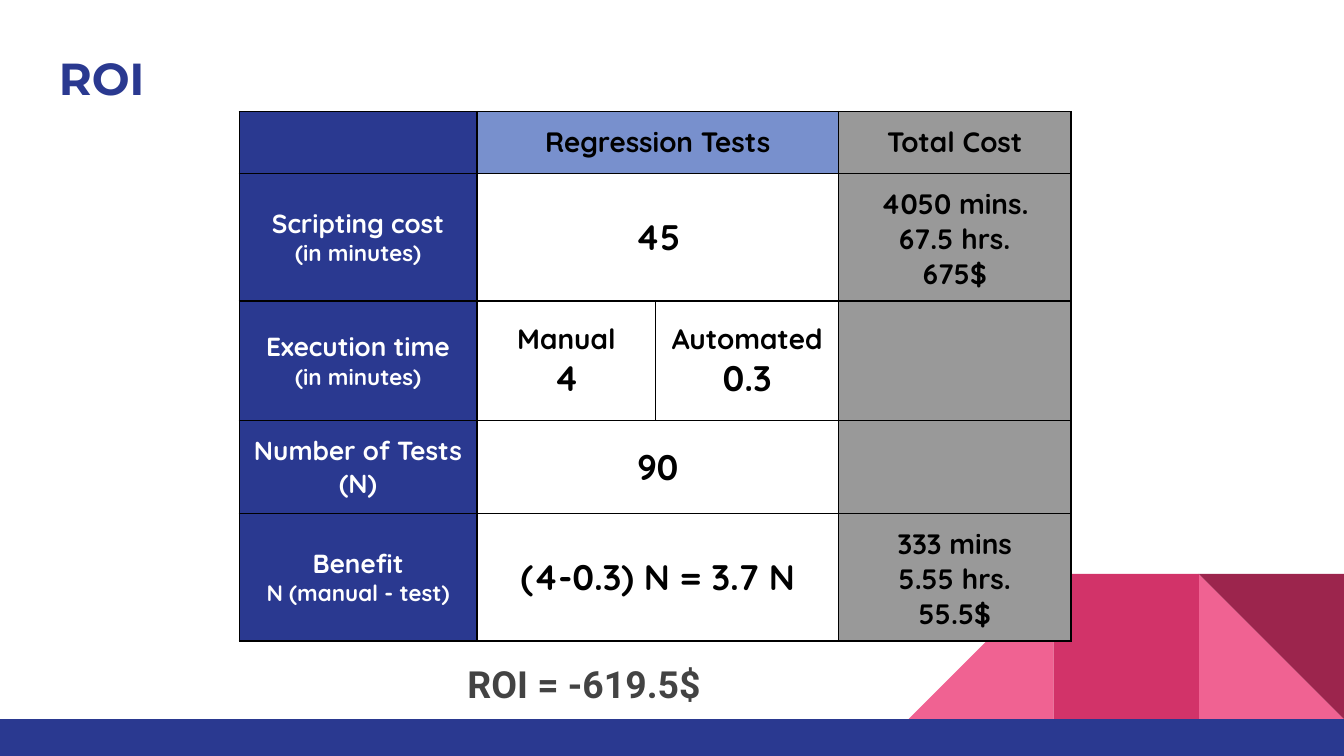
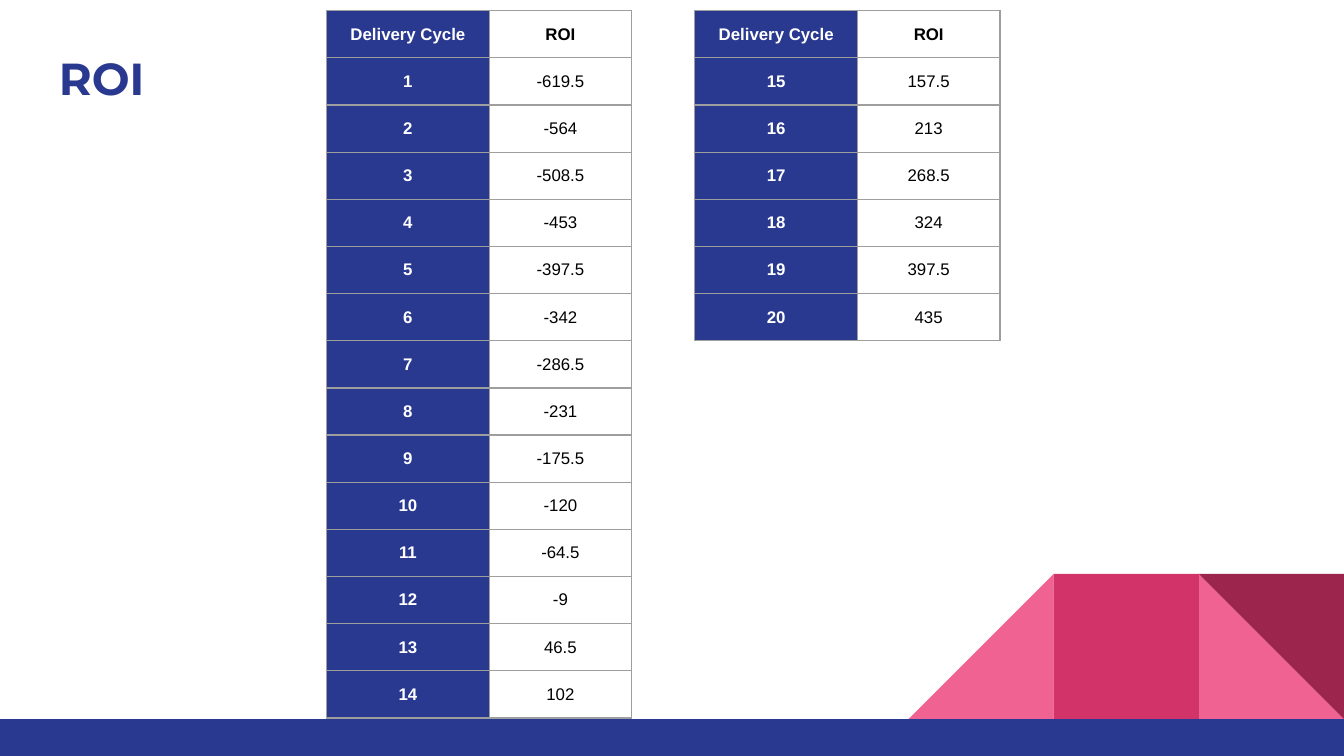
from typing import NamedTuple

from lxml import etree
from pptx import Presentation
from pptx.dml.color import RGBColor
from pptx.enum.shapes import MSO_SHAPE
from pptx.enum.text import MSO_ANCHOR, PP_ALIGN
from pptx.oxml.ns import qn
from pptx.util import Inches, Pt

RECTANGLE = MSO_SHAPE.RECTANGLE
RIGHT_TRIANGLE = MSO_SHAPE.RIGHT_TRIANGLE
CENTER = PP_ALIGN.CENTER
LEFT = PP_ALIGN.LEFT
MIDDLE = MSO_ANCHOR.MIDDLE

NAVY = "2A3990"
SKY = "7890CD"
GRAY = "999999"
RULE_GRAY = "9E9E9E"
TEXT_GRAY = "434343"
PINK = "F06292"
ROSE = "D23369"
WINE = "9C254D"
WHITE = "FFFFFF"
BLACK = "000000"

SLIDE_WIDTH = Inches(10)
SLIDE_HEIGHT = SLIDE_WIDTH * 9 // 16
INSET = Inches(0.1)
FRAME_SIDE = Inches(3.28)
BAND_TOP = 5.35
TILE = 1.08


class Line(NamedTuple):
    text: str
    size: float
    font: str
    color: str
    bold: bool = True


class CellContent(NamedTuple):
    lines: tuple[Line, ...] = ()
    fill: str | None = None
    span: int = 1


class Box(NamedTuple):
    left: float
    top: float
    width: float
    height: float


class Decoration(NamedTuple):
    kind: MSO_SHAPE
    box: Box
    color: str
    rotation: int = 0


def tile(kind: MSO_SHAPE, from_right: int, color: str, rotation: int = 0) -> Decoration:
    box = Box(10 - from_right * TILE, BAND_TOP - TILE, TILE, TILE)
    return Decoration(kind, box, color, rotation)


DECORATIONS = (
    tile(RIGHT_TRIANGLE, 1, PINK),
    tile(RIGHT_TRIANGLE, 3, PINK, 270),
    tile(RECTANGLE, 2, ROSE),
    tile(RIGHT_TRIANGLE, 1, WINE, 180),
    Decoration(RECTANGLE, Box(0, BAND_TOP, 10, 0.28), NAVY),
)


def rgb(color: str) -> RGBColor:
    return RGBColor.from_string(color)


def write_lines(text_frame, lines: tuple[Line, ...], alignment: PP_ALIGN) -> None:
    for index, line in enumerate(lines):
        paragraph = text_frame.add_paragraph() if index else text_frame.paragraphs[0]
        paragraph.alignment = alignment
        run = paragraph.add_run()
        run.text = line.text
        run.font.size = Pt(line.size)
        run.font.name = line.font
        run.font.bold = line.bold
        run.font.color.rgb = rgb(line.color)


def set_insets(target) -> None:
    target.margin_left = target.margin_right = INSET
    target.margin_top = target.margin_bottom = INSET


def add_text(slide, box: Box, line: Line) -> None:
    text_frame = slide.shapes.add_textbox(*map(Inches, box)).text_frame
    text_frame.word_wrap = True
    set_insets(text_frame)
    write_lines(text_frame, (line,), LEFT)


def add_decoration(slide, decoration: Decoration) -> None:
    shape = slide.shapes.add_shape(decoration.kind, *map(Inches, decoration.box))
    shape.shadow.inherit = False
    shape.rotation = decoration.rotation
    shape.fill.solid()
    shape.fill.fore_color.rgb = rgb(decoration.color)
    shape.line.fill.background()


def add_borders(cell, color: str) -> None:
    properties = cell._tc.get_or_add_tcPr()
    for side in ("a:lnL", "a:lnR", "a:lnT", "a:lnB"):
        border = etree.SubElement(properties, qn(side), w=str(Pt(0.75)))
        fill = etree.SubElement(border, qn("a:solidFill"))
        etree.SubElement(fill, qn("a:srgbClr"), val=color)


def fill_cell(cell, content: CellContent) -> None:
    if content.fill:
        cell.fill.solid()
        cell.fill.fore_color.rgb = rgb(content.fill)
    else:
        cell.fill.background()
    if content.lines:
        set_insets(cell)
        cell.vertical_anchor = MIDDLE
        write_lines(cell.text_frame, content.lines, CENTER)


def add_table(
    slide,
    left: float,
    top: float,
    widths: list[float],
    heights: list[float],
    rows: list[list[CellContent]],
    border: str,
) -> None:
    box = Box(left, top, sum(widths), sum(heights))
    frame = slide.shapes.add_table(len(heights), len(widths), *map(Inches, box))
    table = frame.table
    table.first_row = False
    table.horz_banding = False
    for column, width in zip(table.columns, widths):
        column.width = Inches(width)
    for row, height in zip(table.rows, heights):
        row.height = Inches(height)
    frame.width = frame.height = FRAME_SIDE
    for cell in table.iter_cells():
        add_borders(cell, border)
    for row_index, contents in enumerate(rows):
        column_index = 0
        for content in contents:
            cell = table.cell(row_index, column_index)
            last_column = column_index + content.span - 1
            if content.span > 1:
                cell.merge(table.cell(row_index, last_column))
            fill_cell(cell, content)
            column_index = last_column + 1


def add_roi_slide(presentation):
    slide = presentation.slides.add_slide(presentation.slide_layouts[6])
    for decoration in DECORATIONS:
        add_decoration(slide, decoration)
    add_text(slide, Box(0.34, 0.28, 9.32, 0.66), Line("ROI", 24, "Montserrat", NAVY))
    return slide


def quicksand(text: str, size: float, color: str = BLACK) -> Line:
    return Line(text, size, "Quicksand", color)


def label(title: str, detail: str = "") -> CellContent:
    lines = (quicksand(title, 14, WHITE),)
    if detail:
        lines += (quicksand(detail, 12, WHITE),)
    return CellContent(lines, NAVY)


def value(text: str) -> CellContent:
    return CellContent((quicksand(text, 19),), span=2)


def timing(name: str, minutes: str) -> CellContent:
    return CellContent((quicksand(name, 15), quicksand(minutes, 19)))


def total(*texts: str) -> CellContent:
    return CellContent(tuple(quicksand(text, 15) for text in texts), GRAY)


def add_cost_slide(presentation) -> None:
    slide = add_roi_slide(presentation)
    rows = [
        [
            CellContent(fill=NAVY),
            CellContent((quicksand("Regression Tests", 15),), SKY, 2),
            total("Total Cost"),
        ],
        [
            label("Scripting cost", "(in minutes)"),
            value("45"),
            total("4050 mins.", "67.5 hrs.", "675$"),
        ],
        [
            label("Execution time", "(in minutes)"),
            timing("Manual", "4"),
            timing("Automated", "0.3"),
            total(),
        ],
        [label("Number of Tests (N)"), value("90"), total()],
        [
            label("Benefit", "N (manual - test)"),
            value("(4-0.3) N = 3.7 N"),
            total("333 mins", "5.55 hrs.", "55.5$"),
        ],
    ]
    widths = [1.77, 1.33, 1.36, 1.73]
    heights = [0.46, 0.89, 0.89, 0.69, 0.86]
    add_table(slide, 1.78, 0.83, widths, heights, rows, BLACK)
    add_text(
        slide,
        Box(3.38, 4.82, 2.07, 0.72),
        Line("ROI = -619.5$", 20, "Roboto", TEXT_GRAY),
    )


def cycle_row(cycle: str, roi: str, header: bool = False) -> list[CellContent]:
    return [
        CellContent((Line(cycle, 9, "Arial", WHITE),), NAVY),
        CellContent((Line(roi, 9, "Arial", BLACK, header),)),
    ]


def add_cycle_table(slide, left: float, first_cycle: int, values: list[float]) -> None:
    rows = [cycle_row("Delivery Cycle", "ROI", True)]
    for cycle, roi in enumerate(values, first_cycle):
        rows.append(cycle_row(str(cycle), str(roi)))
    add_table(slide, left, 0.08, [1.21, 1.06], [0.31] * len(rows), rows, RULE_GRAY)


def add_cycles_slide(presentation) -> None:
    slide = add_roi_slide(presentation)
    early_values = [
        -619.5, -564, -508.5, -453, -397.5, -342, -286.5,
        -231, -175.5, -120, -64.5, -9, 46.5, 102,
    ]
    late_values = [157.5, 213, 268.5, 324, 397.5, 435]
    add_cycle_table(slide, 2.43, 1, early_values)
    add_cycle_table(slide, 5.17, len(early_values) + 1, late_values)


def main() -> None:
    presentation = Presentation()
    presentation.slide_width = SLIDE_WIDTH
    presentation.slide_height = SLIDE_HEIGHT
    add_cost_slide(presentation)
    add_cycles_slide(presentation)
    presentation.save("out.pptx")


if __name__ == "__main__":
    main()
